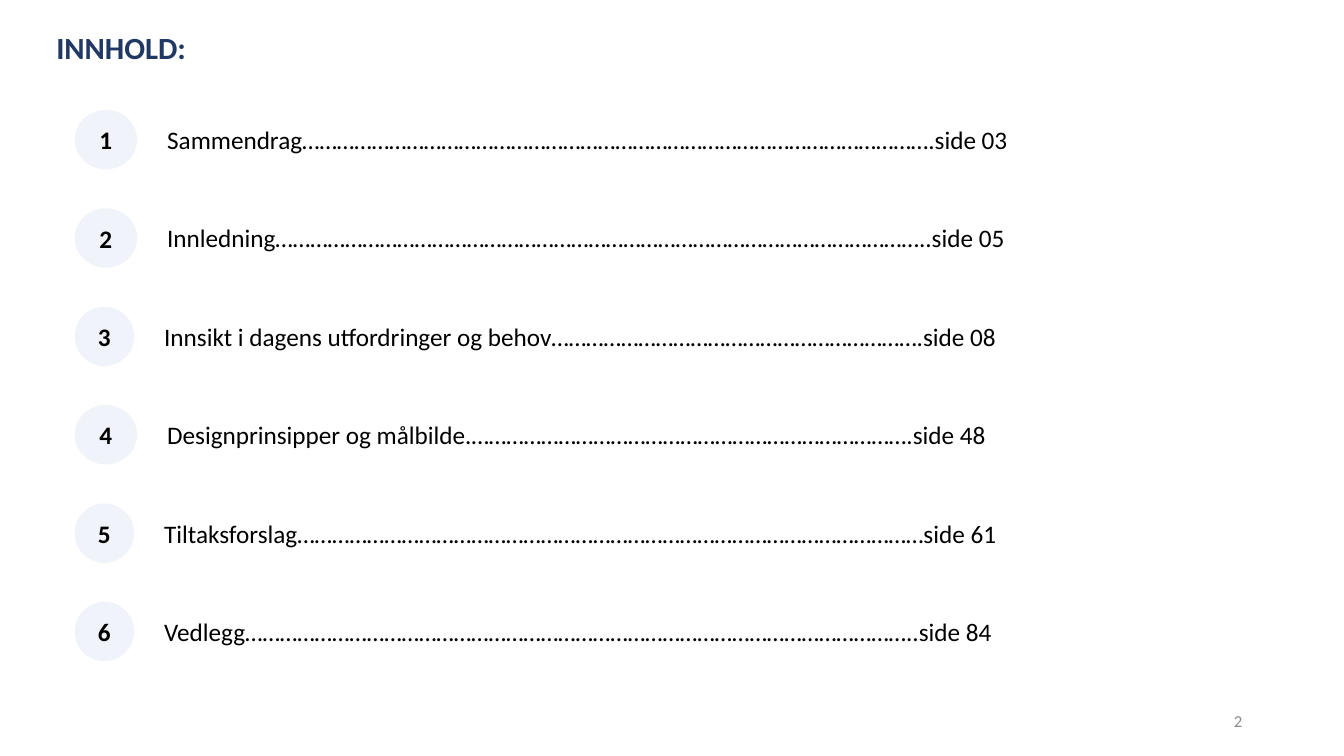
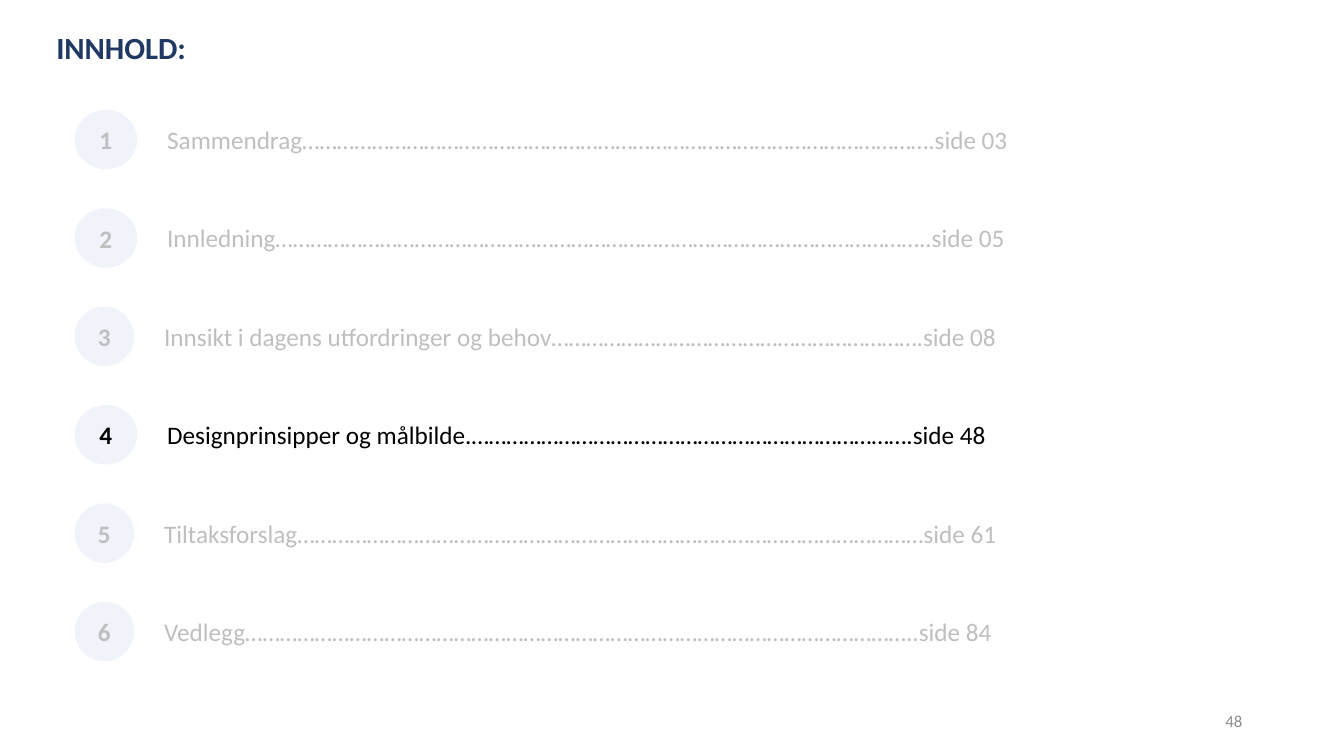
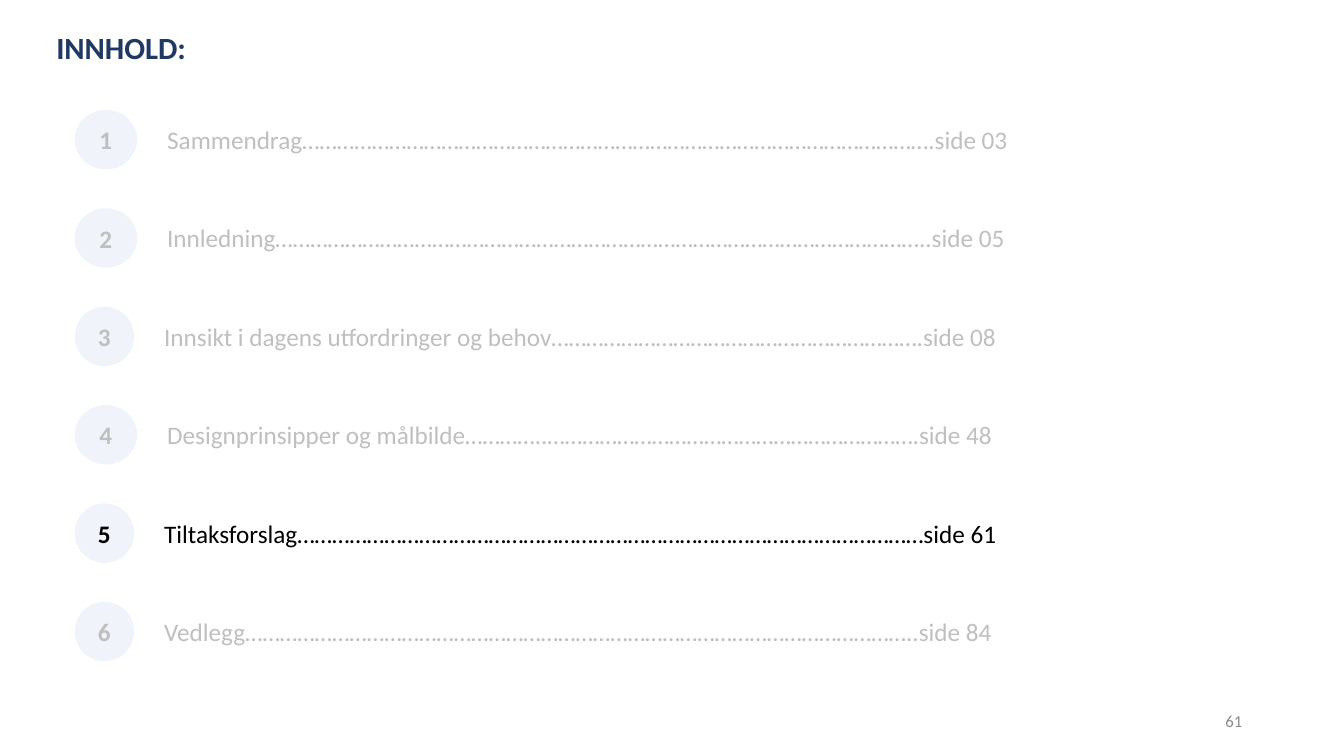
from lxml import etree
from pptx import Presentation
from pptx.dml.color import RGBColor
from pptx.enum.shapes import MSO_SHAPE
from pptx.enum.text import MSO_ANCHOR, MSO_AUTO_SIZE, PP_ALIGN
from pptx.oxml.ns import qn
from pptx.util import Inches, Pt

OVAL = MSO_SHAPE.OVAL
LEFT, CENTER, RIGHT = PP_ALIGN.LEFT, PP_ALIGN.CENTER, PP_ALIGN.RIGHT
TOP, MIDDLE = MSO_ANCHOR.TOP, MSO_ANCHOR.MIDDLE
GROW = MSO_AUTO_SIZE.SHAPE_TO_FIT_TEXT

# Content: chapter line and width of its number bubble
TITLE = "INNHOLD:"
CHAPTERS = [
    ("Sammendrag……………………………………………………………………………………………….side 03", 0.62),
    ("Innledning…………………………………………………………………………………………………..side 05", 0.62),
    ("Innsikt i dagens utfordringer og behov……………………………………………………….side 08", 0.59),
    ("Designprinsipper og målbilde.………………………………………………………………….side 48", 0.62),
    ("Tiltaksforslag………………………………………………………………………………………………side 61", 0.59),
    ("Vedlegg……………………………………………………………………………………………………..side 84", 0.59),
]
DESIGN_LONGER_LEADER = "Designprinsipper og målbilde…………..……………………………………………………….side 48"

# Page number, current chapter (None = all active), reworded chapter lines
SLIDES = [
    (2, None, {}),
    (48, 4, {}),
    (61, 5, {4: DESIGN_LONGER_LEADER}),
]

# Shared style
FONT = "Calibri"
NAVY, BLACK, MUTED, PAGE_GREY, BUBBLE = "203864", "000000", "BFBFBF", "8C8C8C", "DAE3F3"
BUBBLE_OPACITY = 40

# Row grid
FIRST_TOP, LAST_TOP = 1.09, 5.97
PITCH = (LAST_TOP - FIRST_TOP) / (len(CHAPTERS) - 1)
BUBBLE_LEFT, BUBBLE_HEIGHT = 0.74, 0.59
LABEL_GAP, LABEL_WIDTH, LABEL_HEIGHT = 0.2, 8.7, 0.4


def rgb(value):
    return RGBColor.from_string(value)


def write(shape, text, size, color, bold=False, align=LEFT, anchor=TOP):
    frame = shape.text_frame
    frame.text = text
    frame.word_wrap = True
    frame.vertical_anchor = anchor
    paragraph = frame.paragraphs[0]
    paragraph.alignment = align
    font = paragraph.runs[0].font
    font.name, font.size, font.bold = FONT, Pt(size), bold
    font.color.rgb = rgb(color)


def add_text(shapes, left, top, width, height, text, size, color, **style):
    box = shapes.add_textbox(Inches(left), Inches(top), Inches(width), Inches(height))
    write(box, text, size, color, **style)
    return box


def add_bubble(shapes, top, width, number, color):
    bubble = shapes.add_shape(OVAL, Inches(BUBBLE_LEFT), Inches(top),
                              Inches(width), Inches(BUBBLE_HEIGHT))
    bubble.shadow.inherit = False
    bubble.line.fill.background()
    bubble.fill.solid()
    bubble.fill.fore_color.rgb = rgb(BUBBLE)
    fill_color = bubble.fill._xPr.find(qn("a:solidFill")).find(qn("a:srgbClr"))
    etree.SubElement(fill_color, qn("a:alpha")).set("val", str(BUBBLE_OPACITY * 1000))
    write(bubble, str(number), 18, color, bold=True, align=CENTER, anchor=MIDDLE)


def add_chapter(slide, number, line, bubble_width, color):
    top = FIRST_TOP + (number - 1) * PITCH
    row = slide.shapes.add_group_shape().shapes
    add_bubble(row, top, bubble_width, number, color)
    label = add_text(row, BUBBLE_LEFT + bubble_width + LABEL_GAP,
                     top + (BUBBLE_HEIGHT - LABEL_HEIGHT) / 2,
                     LABEL_WIDTH, LABEL_HEIGHT, line, 18, color)
    label.text_frame.auto_size = GROW


def add_contents_slide(prs, page, current, reworded):
    slide = prs.slides.add_slide(prs.slide_layouts[6])
    add_text(slide.shapes, 9.42, 6.95, 3, 0.4, str(page), 12, PAGE_GREY,
             align=RIGHT, anchor=MIDDLE)
    add_text(slide.shapes, 0.46, 0.24, 12.72, 0.85, TITLE, 22, NAVY, bold=True)
    for number, (line, bubble_width) in enumerate(CHAPTERS, start=1):
        color = BLACK if current in (None, number) else MUTED
        add_chapter(slide, number, reworded.get(number, line), bubble_width, color)


def main():
    prs = Presentation()
    prs.slide_width, prs.slide_height = Inches(13.33), Inches(7.5)
    for page, current, reworded in SLIDES:
        add_contents_slide(prs, page, current, reworded)
    prs.save("out.pptx")


if __name__ == "__main__":
    main()
